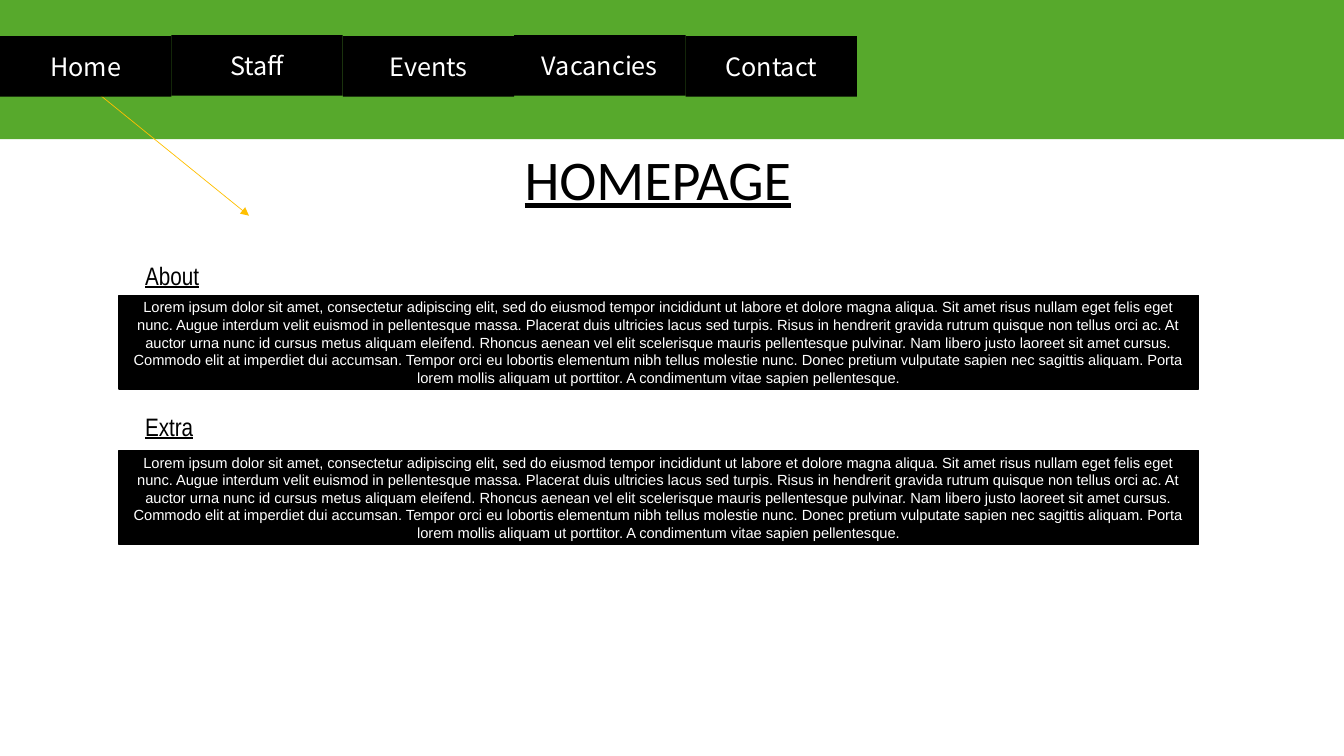
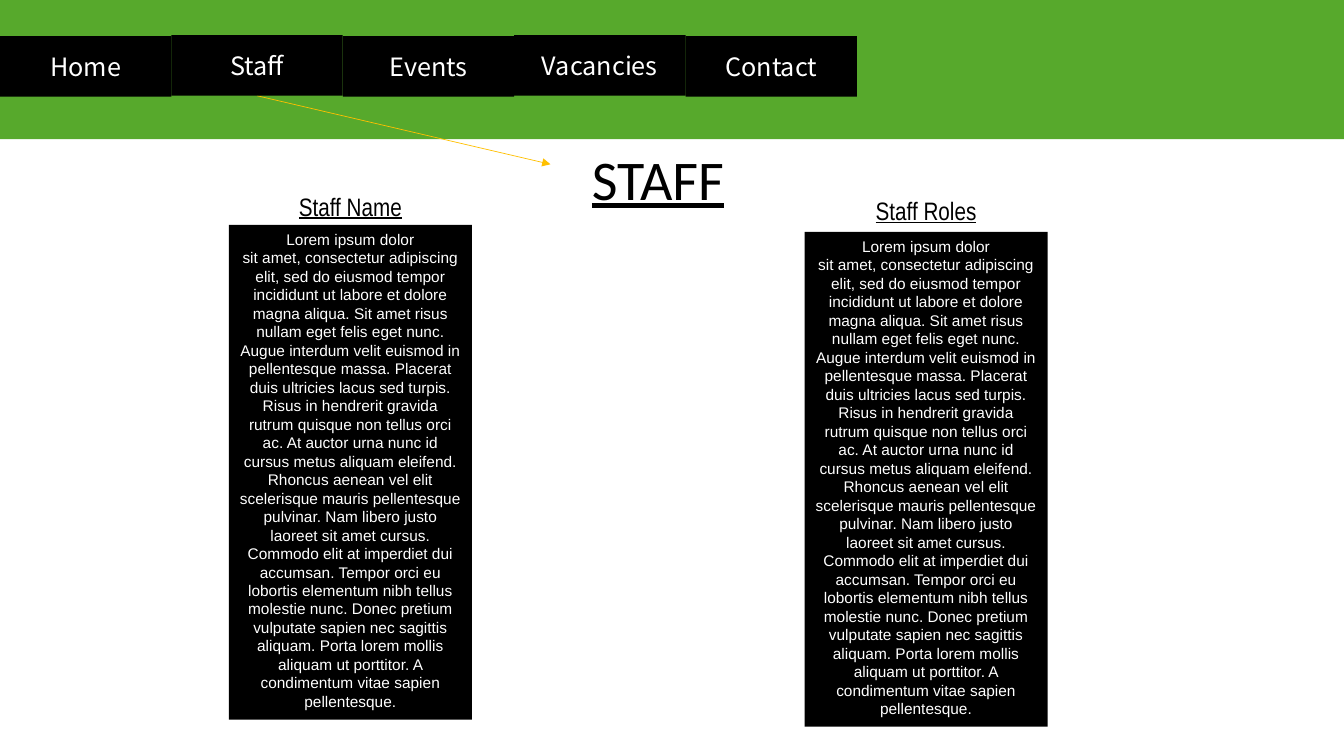
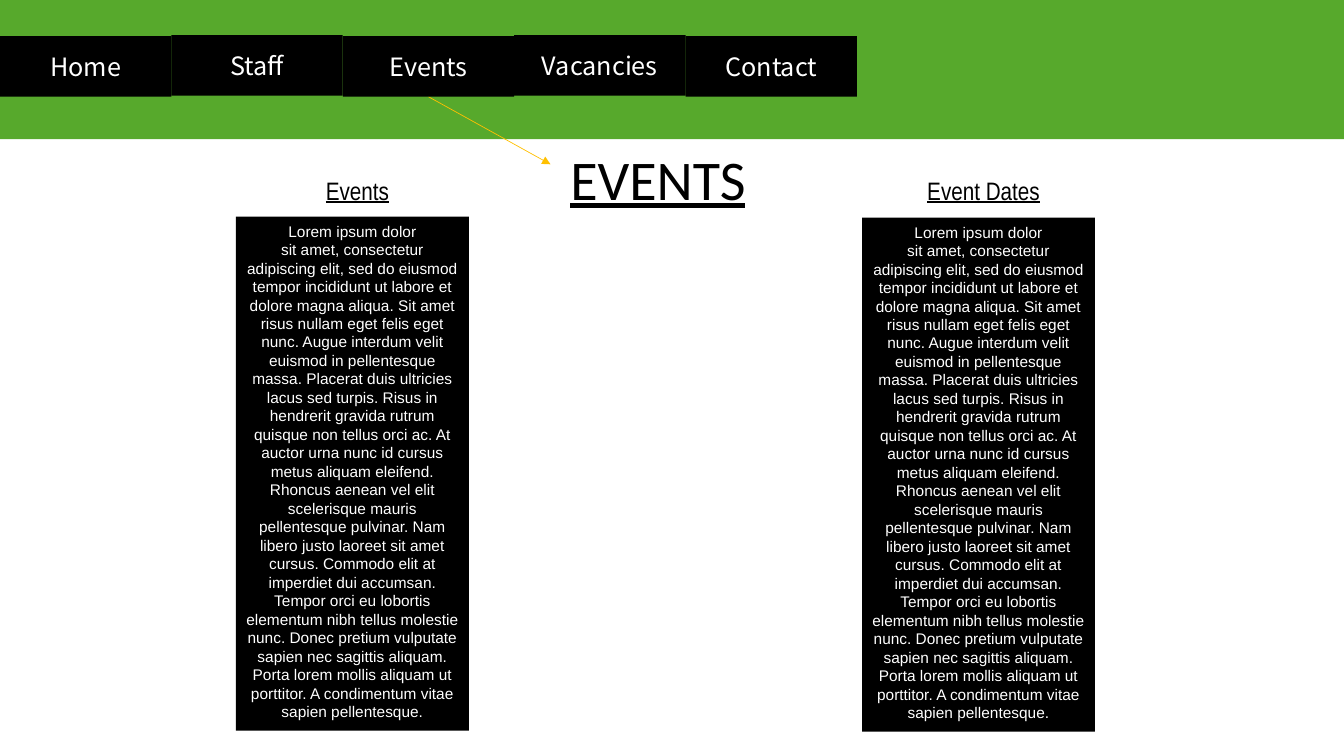
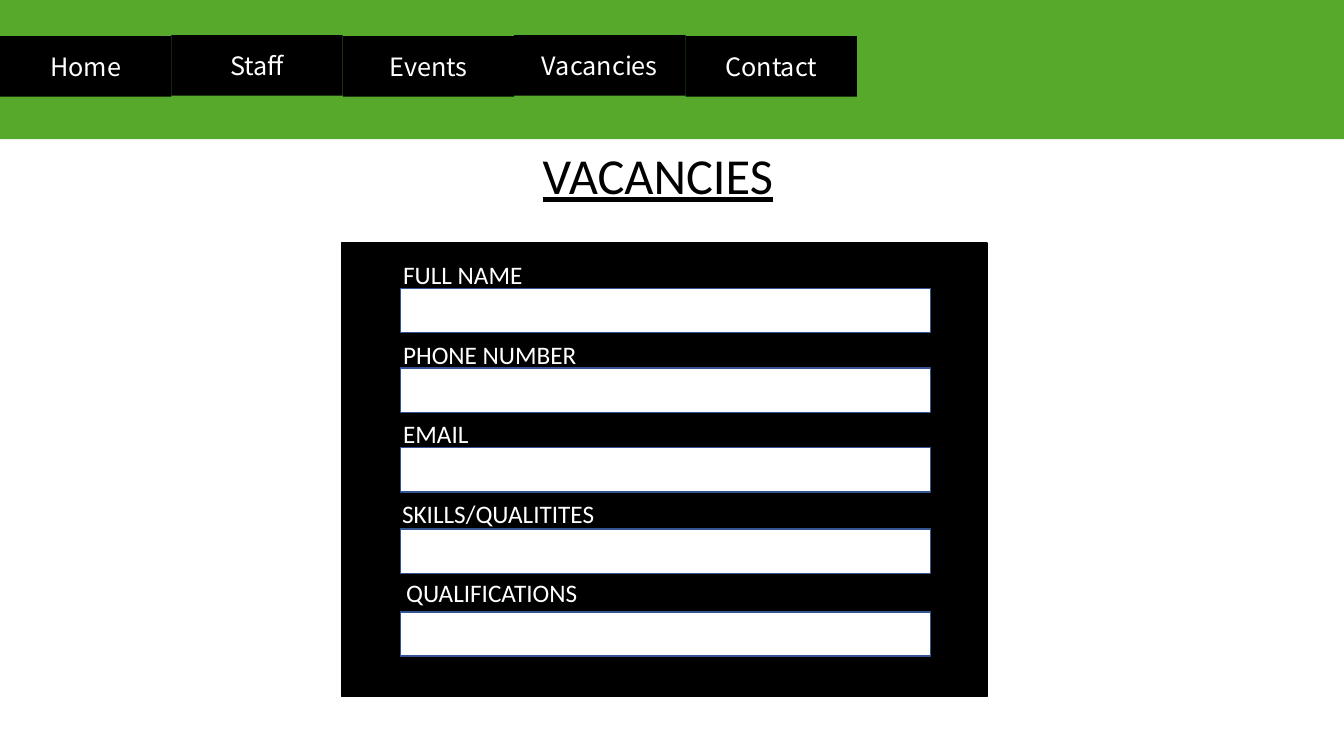
from lxml.etree import SubElement
from pptx import Presentation
from pptx.dml.color import RGBColor
from pptx.enum.shapes import MSO_CONNECTOR, MSO_SHAPE
from pptx.enum.text import MSO_ANCHOR, MSO_AUTO_SIZE, PP_ALIGN
from pptx.oxml.ns import qn
from pptx.util import Inches, Pt

# Content
LOREM = [
    "Lorem ipsum dolor",
    "sit amet, consectetur adipiscing elit, sed do eiusmod tempor incididunt ut "
    "labore et dolore magna aliqua. Sit amet risus nullam eget felis eget nunc. "
    "Augue interdum velit euismod in pellentesque massa. Placerat duis ultricies "
    "lacus sed turpis. Risus in hendrerit gravida rutrum quisque non tellus orci "
    "ac. At auctor urna nunc id cursus metus aliquam eleifend. Rhoncus aenean vel "
    "elit scelerisque mauris pellentesque pulvinar. Nam libero justo laoreet sit "
    "amet cursus. Commodo elit at imperdiet dui accumsan. Tempor orci eu lobortis "
    "elementum nibh tellus molestie nunc. Donec pretium vulputate sapien nec "
    "sagittis aliquam. Porta lorem mollis aliquam ut porttitor. A condimentum "
    "vitae sapien pellentesque.",
]
NAV = ["Home", "Staff", "Events", "Vacancies", "Contact"]

# Each section: heading, heading box, panel box (left, top, width, height)
HOME = [
    ("About", (1.34, 2.53, 1.72, 0.4), (1.18, 2.93, 10.71, 0.93)),
    ("Extra", (1.34, 4.03, 1.29, 0.4), (1.18, 4.47, 10.71, 0.93)),
]
STAFF = [
    ("Staff Name", (2.27, 1.85, 2.41, 0.4), (2.27, 2.23, 2.41, 4.91)),
    ("Staff Roles", (7.98, 1.89, 2.41, 0.4), (7.98, 2.3, 2.41, 4.91)),
]
EVENTS = [
    ("Events", (2.34, 1.69, 2.41, 0.4), (2.34, 2.15, 2.31, 5.1)),
    ("Event Dates", (8.55, 1.69, 2.41, 0.4), (8.55, 2.16, 2.31, 5.1)),
]

# Each field: label, label left, label top, input top
FIELDS = [
    ("FULL NAME", 3.9, 2.52, 2.86),
    ("PHONE NUMBER", 3.9, 3.32, 3.65),
    ("EMAIL", 3.9, 4.1, 4.44),
    ("SKILLS/QUALITITES", 3.89, 4.89, 5.25),
    ("QUALIFICATIONS", 3.93, 5.68, 6.07),
]

# Shared style
COLORS = {"green": "57A92C", "black": "000000", "white": "FFFFFF",
          "arrow": "FFC000", "field": "325491"}
SLIDE_W, SLIDE_H = 13.33, 7.5
BAND_H = 1.38
NAV_W, NAV_H = 1.7, 0.6

prs = Presentation()
prs.slide_width, prs.slide_height = Inches(SLIDE_W), Inches(SLIDE_H)


def rgb(name):
    return RGBColor.from_string(COLORS[name])


def put_text(sp, paragraphs, font="Calibri", size=18, color="black",
             align=PP_ALIGN.LEFT, anchor=MSO_ANCHOR.TOP, underline=None):
    tf = sp.text_frame
    tf.word_wrap = True
    tf.auto_size = MSO_AUTO_SIZE.NONE
    tf.vertical_anchor = anchor
    for i, text in enumerate(paragraphs):
        p = tf.add_paragraph() if i else tf.paragraphs[0]
        p.alignment = align
        p.line_spacing = 1.0
        r = p.add_run()
        r.text = text
        r.font.name, r.font.size = font, Pt(size)
        r.font.underline = underline
        r.font.color.rgb = rgb(color)


def add_box(s, box, fill, line=None):
    sp = s.shapes.add_shape(MSO_SHAPE.RECTANGLE, *map(Inches, box))
    sp.shadow.inherit = False
    sp.fill.solid()
    sp.fill.fore_color.rgb = rgb(fill)
    if line:
        sp.line.color.rgb = rgb(line)
        sp.line.width = Pt(1)
    else:
        sp.line.fill.background()
    return sp


def add_label(s, box, text, **fmt):
    put_text(s.shapes.add_textbox(*map(Inches, box)), [text], **fmt)


def add_arrow(s, start, end):
    cx = s.shapes.add_connector(MSO_CONNECTOR.STRAIGHT, *map(Inches, start + end))
    cx.line.color.rgb = rgb("arrow")
    cx.line.width = Pt(0.5)
    SubElement(cx.line._get_or_add_ln(), qn("a:tailEnd"), type="triangle")
    SubElement(cx._element.spPr, qn("a:effectLst"))
    return cx


def add_page(title, size=40, arrow=None, joined=None):
    """Title, green band, menu and the arrow that leaves the current button."""
    s = prs.slides.add_slide(prs.slide_layouts[5])
    t = s.shapes.title
    t.left, t.top = Inches(-0.14), Inches(BAND_H)
    t.width, t.height = Inches(SLIDE_W), Inches(0.77)
    put_text(t, [title], size=size, align=PP_ALIGN.CENTER, underline=True)
    add_box(s, (0, 0, SLIDE_W, BAND_H), "green")
    cx = add_arrow(s, *arrow) if arrow else None
    for i, name in enumerate(NAV):
        top = 0.35 if i % 2 else 0.36
        button = add_box(s, (i * NAV_W, top, NAV_W, NAV_H), "black")
        put_text(button, [name], font="Noto Sans CJK SC", color="white",
                 align=PP_ALIGN.CENTER, anchor=MSO_ANCHOR.MIDDLE)
        if name == joined:
            cx.begin_connect(button, 2)
    return s


def add_sections(s, sections, paragraphs, size, anchor, align, line=None):
    for heading, heading_box, panel_box in sections:
        panel = add_box(s, panel_box, "black", line)
        put_text(panel, paragraphs, font="Arial", size=size, color="white",
                 align=PP_ALIGN.CENTER, anchor=anchor)
        add_label(s, heading_box, heading, font="Arial Narrow", align=align,
                  underline=True)


# Home
s = add_page("HOMEPAGE", arrow=((0.89, 0.86), (2.47, 2.14)))
add_sections(s, HOME, [" ".join(LOREM)], 10.5, MSO_ANCHOR.MIDDLE,
             PP_ALIGN.LEFT, line="black")

# Staff and events
for name, start_x, sections in [("Staff", 2.55, STAFF), ("Events", 4.25, EVENTS)]:
    s = add_page(name.upper(), arrow=((start_x, 0.95), (5.46, 1.63)), joined=name)
    add_sections(s, sections, LOREM, 11, MSO_ANCHOR.TOP, PP_ALIGN.CENTER)

# Vacancies form
s = add_page("VACANCIES", size=36)
add_box(s, (3.39, 2.41, 6.4, 4.5), "black", "black")
for label, left, label_top, input_top in FIELDS:
    add_box(s, (3.97, input_top, 5.26, 0.44), "white", "field")
    add_label(s, (left, label_top, 3.5, 0.4), label, color="white")

prs.save("out.pptx")
